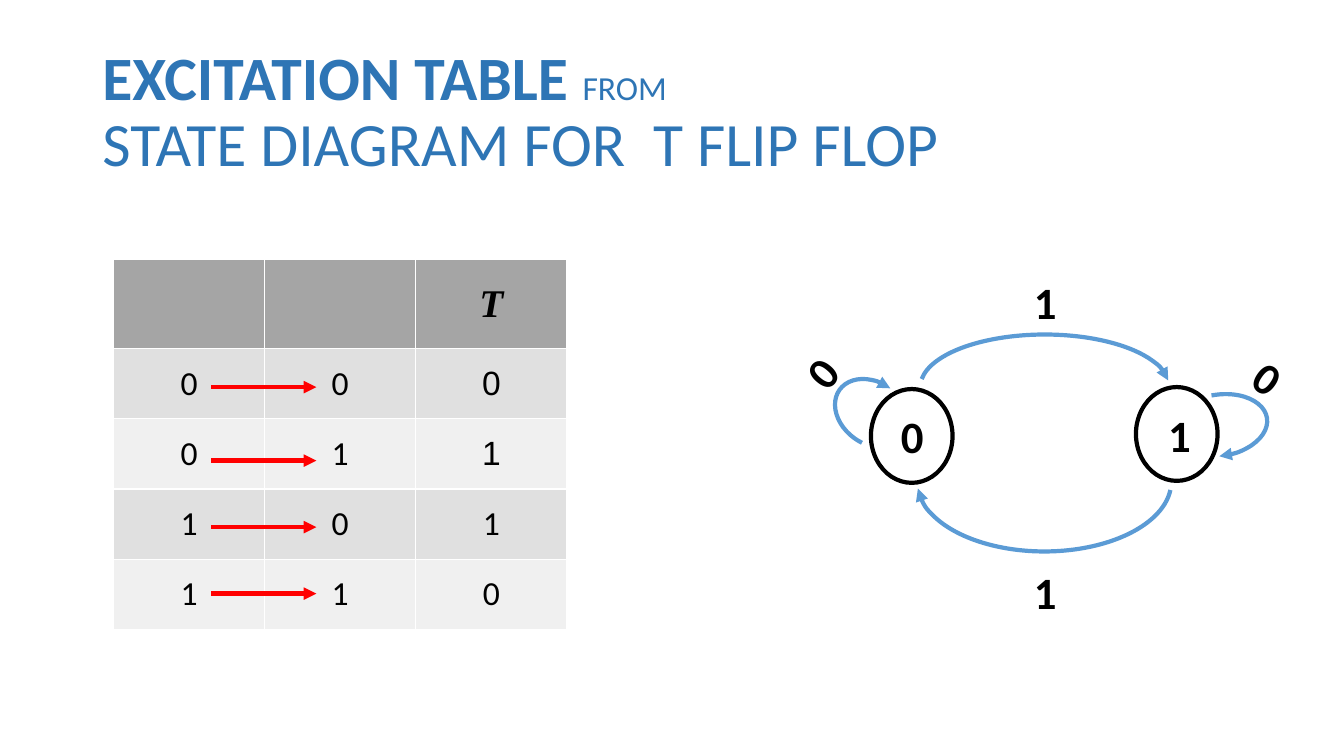
from lxml.etree import SubElement
from pptx import Presentation
from pptx.dml.color import RGBColor
from pptx.enum.shapes import MSO_CONNECTOR as CONN, MSO_SHAPE as SHAPE
from pptx.enum.text import MSO_ANCHOR as ANCHOR, MSO_AUTO_SIZE as FIT, PP_ALIGN as ALIGN
from pptx.oxml.ns import qn
from pptx.util import Pt

TITLE_BLUE = RGBColor(0x2E, 0x75, 0xB5)
ARC_BLUE = RGBColor(0x5B, 0x9B, 0xD5)
RED = RGBColor(0xFF, 0x00, 0x00)
BLACK = RGBColor(0x00, 0x00, 0x00)
WHITE = RGBColor(0xFF, 0xFF, 0xFF)
HEAD_GREY = RGBColor(0xA5, 0xA5, 0xA5)
BANDS = RGBColor(0xE0, 0xE0, 0xE0), RGBColor(0xF0, 0xF0, 0xF0)

HEAD = {"name": "Times New Roman", "size": Pt(28), "bold": True, "italic": True}
BODY = {"name": "Calibri", "size": Pt(24), "bold": False}
LABEL = {"name": "Calibri", "size": Pt(32), "bold": True}
ROWS = ["00" "0", "01" "1", "10" "1", "11" "0"]


def add_run(p, text, style, color=BLACK):
    """Add a run to a paragraph with the given font values."""
    r = p.add_run()
    r.text = text
    for name, value in style.items():
        setattr(r.font, name, value)
    r.font.color.rgb = color


def set_line(s, color, arrow=False):
    """Give a shape a 3 pt line, with an arrowhead at its end if wanted."""
    s.line.color.rgb = color
    s.line.width = Pt(3)
    if arrow:
        ln = s.element.spPr.find(qn("a:ln"))
        SubElement(ln, qn("a:tailEnd"), type="triangle")


def add_title(slide, x, y, w, h):
    """Fill the title placeholder with its two lines."""
    s = slide.shapes.title
    s.left, s.top, s.width, s.height = Pt(x), Pt(y), Pt(w), Pt(h)
    tf = s.text_frame
    tf.auto_size = FIT.NONE
    tf.vertical_anchor = ANCHOR.MIDDLE
    p = tf.paragraphs[0]
    p.alignment, p.line_spacing = ALIGN.LEFT, 0.9
    big = BODY | {"size": Pt(44)}
    add_run(p, "EXCITATION TABLE ", big | {"bold": True}, TITLE_BLUE)
    add_run(p, "FROM", BODY, TITLE_BLUE)
    p.add_line_break()
    add_run(p, "STATE DIAGRAM FOR  T FLIP FLOP", big, TITLE_BLUE)


def add_cell(cell, text, style, fill):
    """Fill one table cell with centred text."""
    cell.fill.solid()
    cell.fill.fore_color.rgb = fill
    cell.vertical_anchor = ANCHOR.MIDDLE
    p = cell.text_frame.paragraphs[0]
    p.alignment = ALIGN.CENTER
    if text:
        add_run(p, text, style)


def add_excitation_table(slide, x, y, w, head_h, row_h):
    """Draw the excitation table and its transition arrows."""
    h = head_h + row_h * len(ROWS)
    table = slide.shapes.add_table(len(ROWS) + 1, 3, Pt(x), Pt(y), Pt(w), Pt(h)).table
    for col in table.columns:
        col.width = Pt(w / 3)
    for i, row in enumerate(table.rows):
        row.height = Pt(row_h if i else head_h)
    for j, text in enumerate(["", "", "T"]):
        add_cell(table.cell(0, j), text, HEAD, HEAD_GREY)
    for i, values in enumerate(ROWS):
        for j, text in enumerate(values):
            font = "Arial" if j == 2 and i < 2 else "Calibri"
            add_cell(table.cell(i + 1, j), text, BODY | {"name": font}, BANDS[i % 2])
    for dy in (91.5, 144, 191.5, 239):
        s = slide.shapes.add_connector(
            CONN.STRAIGHT, Pt(x + 70), Pt(y + dy), Pt(x + 145), Pt(y + dy))
        set_line(s, RED, arrow=True)
        SubElement(s.element.spPr, qn("a:effectLst"))


def add_arc(slide, x, y, w, h, start, end, rotation):
    """Draw a transition arc between two angles in degrees."""
    s = slide.shapes.add_shape(SHAPE.ARC, Pt(x), Pt(y), Pt(w), Pt(h))
    s.adjustments[0], s.adjustments[1] = start * 0.6, end * 0.6
    s.rotation = rotation
    s.shadow.inherit = False
    s.fill.background()
    set_line(s, ARC_BLUE, arrow=True)


def add_state(slide, x, y):
    """Draw the circle of one state."""
    s = slide.shapes.add_shape(SHAPE.OVAL, Pt(x), Pt(y), Pt(58.3), Pt(67))
    s.shadow.inherit = False
    s.fill.solid()
    s.fill.fore_color.rgb = WHITE
    set_line(s, BLACK)


def add_label(slide, text, x, y, w=31, rotation=0):
    """Write a one-digit label."""
    s = slide.shapes.add_textbox(Pt(x), Pt(y), Pt(w), Pt(46))
    s.rotation = rotation
    tf = s.text_frame
    tf.word_wrap = True
    add_run(tf.paragraphs[0], text, LABEL)


def add_state_diagram(slide, x, y):
    """Draw the two states with their transitions and inputs."""
    for dx, dy, w, h, start, end, rotation in [
        (87.4, 46, 177.8, 74.9, 183.68, 356.98, 0),
        (31.2, 73.4, 43.9, 57.6, 163.67, 0, 305.7),
        (85.2, 101.5, 181.4, 99.4, 183.68, 356.98, 180),
        (278.9, 76.3, 43.9, 69.1, 174.2, 8.26, 81.4),
    ]:
        add_arc(slide, x + dx, y + dy, w, h, start, end, rotation)
    for text, dx, dy, label_dx, label_dy in [
        ("0", 52.1, 84.9, 66.5, 95.7),
        ("1", 241.4, 83.5, 257.3, 95),
    ]:
        add_state(slide, x + dx, y + dy)
        add_label(slide, text, x + label_dx, y + label_dy)
    for dy in (0, 206.6):
        add_label(slide, "1", x + 161.5, y + dy)
    for dx, dy, rotation in [(0.2, 47.5, 309.9), (319.9, 56.1, 35.3)]:
        add_label(slide, "0", x + dx, y + dy, 38, rotation)


def main():
    """Build and save the slide."""
    prs = Presentation()
    prs.slide_width, prs.slide_height = Pt(960), Pt(540)
    slide = prs.slides.add_slide(prs.slide_layouts[5])
    add_title(slide, 66, 28.8, 828, 104.4)
    add_excitation_table(slide, 81, 185, 324, 64, 50.2)
    add_state_diagram(slide, 570, 193)
    prs.save("out.pptx")


if __name__ == "__main__":
    main()
